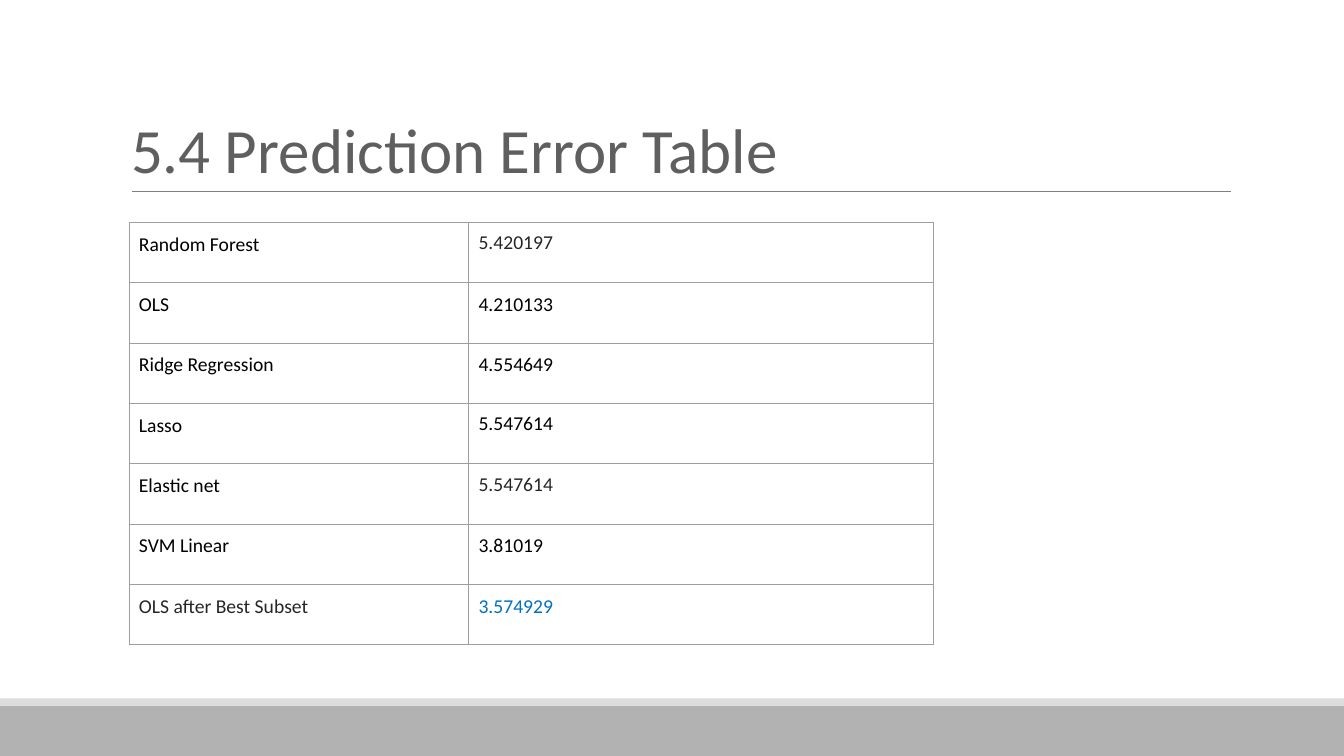
from lxml.etree import SubElement
from pptx import Presentation
from pptx.dml.color import RGBColor
from pptx.enum.shapes import MSO_CONNECTOR as Connector, MSO_SHAPE as Shape
from pptx.enum.text import MSO_ANCHOR as Anchor, MSO_AUTO_SIZE as AutoSize, PP_ALIGN as Align
from pptx.oxml.ns import qn
from pptx.util import Cm, Pt

WIDTH, HEIGHT = 33.87, 19.05
SPACED = {"line_spacing": 0.9, "space_before": Pt(12), "space_after": Pt(2)}
BLACK, DARK, BLUE = "000000", "262626", "0070C0"

# Model, its colour, prediction error, its colour, paragraph format of the error
ERRORS = [
    ("Random Forest", BLACK, "5.420197", DARK, SPACED),
    ("OLS", BLACK, "4.210133", BLACK, {}),
    ("Ridge Regression", BLACK, "4.554649", BLACK, {}),
    ("Lasso", BLACK, "5.547614", BLACK, SPACED),
    ("Elastic net", BLACK, "5.547614", DARK, SPACED),
    ("SVM Linear", BLACK, "3.81019", BLACK, {}),
    ("OLS after Best Subset", DARK, "3.574929", BLUE, {}),
]


def color(value):
    return RGBColor.from_string(value)


def set_format(target, values):
    for name, value in values.items():
        setattr(target, name, value)


class SlideBuilder:
    font = "Calibri"
    border = "9E9E9E"
    border_width = Pt(0.75)

    def __init__(self, slide):
        self.slide = slide

    def add_text(self, frame, text, size, hex_color, layout):
        paragraph = frame.paragraphs[0]
        set_format(paragraph, {"alignment": Align.LEFT, **layout})
        run = paragraph.add_run()
        run.text = text
        set_format(run.font, {"name": self.font, "size": Pt(size), "bold": False})
        run.font.color.rgb = color(hex_color)

    def band(self, top, height, hex_color):
        shape = self.slide.shapes.add_shape(
            Shape.RECTANGLE, 0, Cm(top), Cm(WIDTH), Cm(height))
        shape.shadow.inherit = False
        shape.fill.solid()
        shape.fill.fore_color.rgb = color(hex_color)
        shape.line.fill.background()

    def rule(self, left, right, top, hex_color):
        connector = self.slide.shapes.add_connector(
            Connector.STRAIGHT, Cm(left), Cm(top), Cm(right), Cm(top))
        connector.line.color.rgb = color(hex_color)
        connector.line.width = Pt(0.75)
        SubElement(connector._element.spPr, qn("a:effectLst"))

    def title(self, text, left, top, width, height):
        title = self.slide.shapes.title
        set_format(title, {"left": Cm(left), "top": Cm(top),
                           "width": Cm(width), "height": Cm(height)})
        set_format(title.text_frame, {"word_wrap": True, "auto_size": AutoSize.NONE,
                                      "vertical_anchor": Anchor.BOTTOM})
        self.add_text(title.text_frame, text, 45, "5F5F5F", {"line_spacing": 0.85})

    def cell(self, cell, text, hex_color, layout):
        margins = ("margin_left", "margin_top", "margin_right", "margin_bottom")
        set_format(cell, {name: Cm(0.25) for name in margins})
        self.add_text(cell.text_frame, text, 14, hex_color, layout)
        properties = cell._tc.get_or_add_tcPr()
        for side in ("lnL", "lnR", "lnT", "lnB"):
            line = SubElement(properties, qn(f"a:{side}"), w=str(self.border_width))
            fill = SubElement(line, qn("a:solidFill"))
            SubElement(fill, qn("a:srgbClr"), val=self.border)
        cell.fill.background()

    def table(self, rows, left, top, widths, row_height):
        table = self.slide.shapes.add_table(
            len(rows), len(widths), Cm(left), Cm(top),
            Cm(sum(widths)), Cm(row_height * len(rows))).table
        set_format(table, {"first_row": False, "horz_banding": False})
        for column, width in zip(table.columns, widths):
            column.width = Cm(width)
        for row, (model, model_color, error, error_color, layout) in zip(table.rows, rows):
            row.height = Cm(row_height)
            self.cell(row.cells[0], model, model_color, {})
            self.cell(row.cells[1], error, error_color, layout)


def main():
    presentation = Presentation()
    set_format(presentation, {"slide_width": Cm(WIDTH), "slide_height": Cm(HEIGHT)})
    title_only = presentation.slide_layouts[5]
    builder = SlideBuilder(presentation.slides.add_slide(title_only))

    # Footer bands and title rule
    builder.band(17.78, 1.27, "B2B2B2")
    builder.band(17.6, 0.18, "DDDDDD")
    builder.rule(3.33, 31.01, 4.83, "7F7F7F")

    # Title and table
    builder.title("5.4 Prediction Error Table", 3.05, 0.79, 27.94, 4.04)
    builder.table(ERRORS, 3.25, 5.61, (8.56, 11.71), 1.52)

    presentation.save("out.pptx")


if __name__ == "__main__":
    main()
